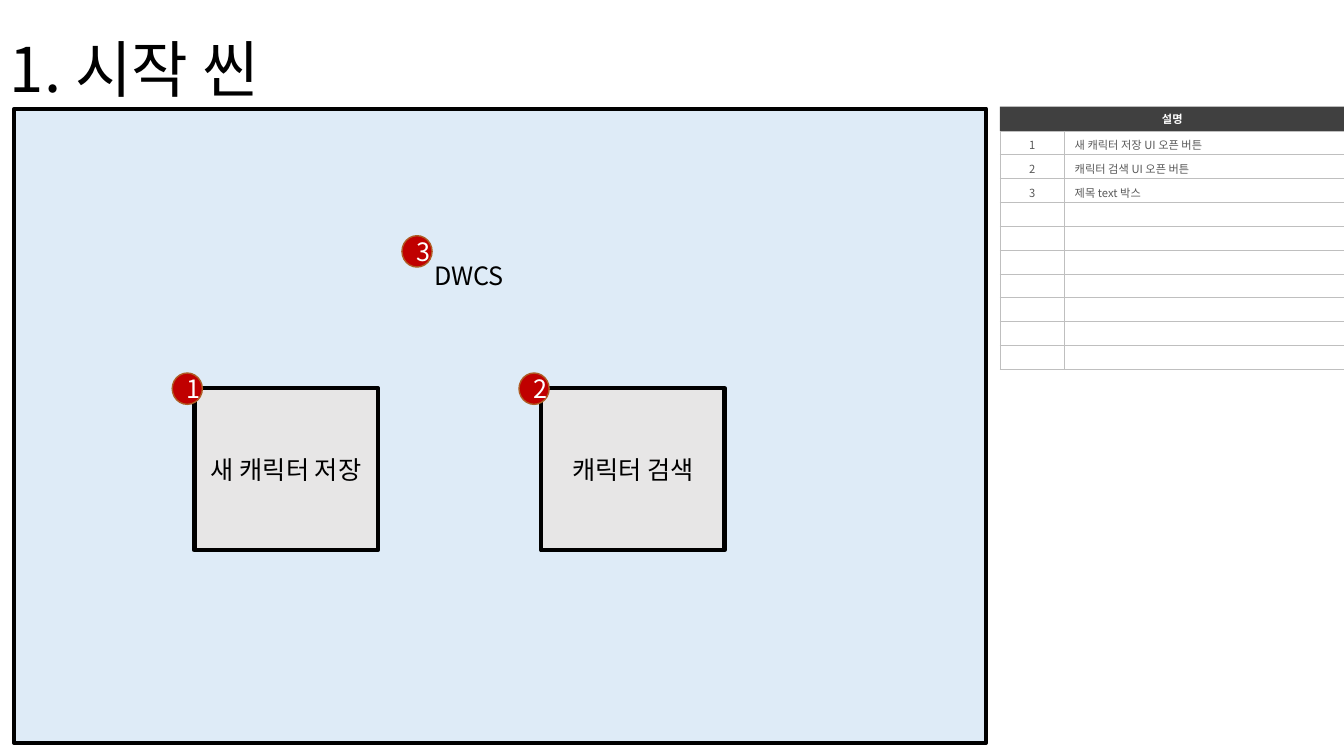
from dataclasses import dataclass
from lxml.etree import SubElement
from pptx import Presentation
from pptx.dml.color import RGBColor as RGB
from pptx.enum.shapes import MSO_SHAPE as Kind
from pptx.enum.text import MSO_ANCHOR as Anchor, PP_ALIGN as Align
from pptx.oxml.ns import qn
from pptx.util import Cm, Pt


@dataclass
class Theme:
    font: str = "Noto Sans CJK KR"
    black: str = "000000"
    white: str = "FFFFFF"
    stage: str = "DEEBF7"
    button: str = "E7E6E6"
    badge: str = "C00000"
    rim: str = "AF5C24"
    head: str = "404040"
    grid: str = "BFBFBF"
    note: str = "595959"
    title: int = 44
    body: int = 18
    small: int = 8


theme = Theme()


def put(frame, text, size=theme.body, color=theme.black, bold=False,
        align=Align.LEFT, space=None, wrap=True):
    frame.word_wrap = wrap
    para = frame.paragraphs[0]
    para.alignment = align
    para.line_spacing = space
    if not text:
        SubElement(para._p, qn("a:endParaRPr"), sz=str(size * 100))
        return
    run = para.add_run()
    run.text = text
    font = run.font
    font.name, font.size, font.bold = theme.font, Pt(size), bold
    font.color.rgb = RGB.from_string(color)
    SubElement(font._element, qn("a:ea"), typeface=theme.font)


def draw(kind, x, y, w, h, fill, line=None, width=0):
    shape = slide.shapes.add_shape(kind, Cm(x), Cm(y), Cm(w), Cm(h))
    shape.shadow.inherit = False
    shape.fill.solid()
    shape.fill.fore_color.rgb = RGB.from_string(fill)
    if line:
        shape.line.color.rgb = RGB.from_string(line)
        shape.line.width = Pt(width)
    else:
        shape.line.fill.background()
    shape.text_frame.vertical_anchor = Anchor.MIDDLE
    return shape.text_frame


deck = Presentation()
deck.slide_width, deck.slide_height = Cm(33.87), Cm(19.05)
slide = deck.slides.add_slide(deck.slide_layouts[6])

title = slide.shapes.add_textbox(0, 0, Cm(29.21), Cm(3.68)).text_frame
title.vertical_anchor = Anchor.MIDDLE
put(title, "1. 시작 씬", size=theme.title, space=0.9)

draw(Kind.RECTANGLE, 0.36, 2.74, 24.49, 15.98, theme.stage, theme.black, 3)

top = 9.78
spots = []
for x, name in [(4.9, "새 캐릭터 저장"), (13.64, "캐릭터 검색")]:
    button = draw(Kind.RECTANGLE, x, top, 4.62, 4.09, theme.button, theme.black, 3)
    put(button, name, align=Align.CENTER)
    spots.append((x - 0.56, top - 0.38))
spots.append((10.13, 5.94))

label = slide.shapes.add_textbox(Cm(10.69), Cm(6.43), Cm(2.57), Cm(1.02))
put(label.text_frame, "DWCS")

left = 25.2
head = draw(Kind.RECTANGLE, left, 2.69, 8.69, 0.61, theme.head)
put(head, "설명", size=theme.small, color=theme.white, bold=True,
    align=Align.CENTER, wrap=False)

notes = ["새 캐릭터 저장 UI 오픈 버튼", "캐릭터 검색 UI 오픈 버튼", "제목 text 박스"]
count = 10
high = 0.6
wide = [1.63, 7.04]
table = slide.shapes.add_table(count, 2, Cm(left), Cm(3.3),
                               Cm(sum(wide)), Cm(high * count)).table
table.first_row = table.horz_banding = False
for col, size in zip(table.columns, wide):
    col.width = Cm(size)
for i, row in enumerate(table.rows):
    row.height = Cm(high)
    texts = (str(i + 1), notes[i]) if i < len(notes) else ("", "")
    for cell, text, align in zip(row.cells, texts, (Align.CENTER, Align.LEFT)):
        cell.vertical_anchor = Anchor.MIDDLE
        cell.margin_top, cell.margin_bottom = Cm(0.08), 0
        put(cell.text_frame, text, size=theme.small, color=theme.note, align=align)
        props = cell._tc.get_or_add_tcPr()
        for side in "LRTB":
            edge = SubElement(props, qn("a:ln" + side), w=str(Pt(0.5)))
            paint = SubElement(edge, qn("a:solidFill"))
            SubElement(paint, qn("a:srgbClr"), val=theme.grid)
        cell.fill.background()

for num, (x, y) in enumerate(spots, 1):
    badge = draw(Kind.OVAL, x, y, 0.76, 0.79, theme.badge, theme.rim, 1)
    put(badge, str(num), color=theme.white, align=Align.CENTER)

deck.save("out.pptx")
